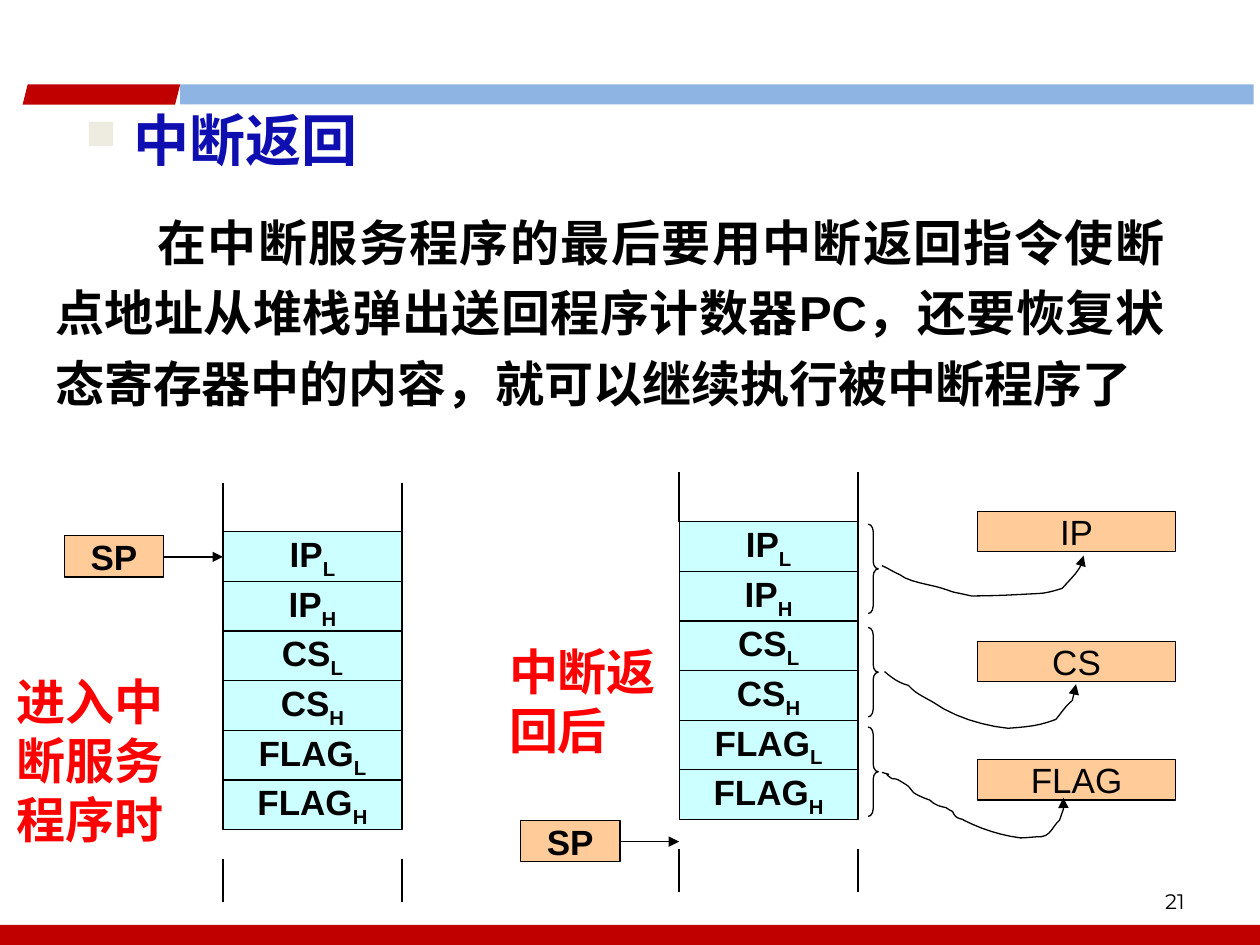
"""Build the slide on returning from an interrupt, with the stack before and after."""
from lxml import etree
from pptx import Presentation
from pptx.dml.color import RGBColor
from pptx.enum.shapes import MSO_CONNECTOR, MSO_SHAPE
from pptx.enum.text import MSO_ANCHOR, PP_ALIGN
from pptx.oxml.ns import qn
from pptx.util import Inches, Pt

RECT = MSO_SHAPE.RECTANGLE
SLANT = MSO_SHAPE.PARALLELOGRAM
BRACE = MSO_SHAPE.RIGHT_BRACE
LINE = MSO_CONNECTOR.STRAIGHT
TOP, MIDDLE = MSO_ANCHOR.TOP, MSO_ANCHOR.MIDDLE
LEFT, RIGHT = PP_ALIGN.LEFT, PP_ALIGN.RIGHT
CENTER, JUSTIFY = PP_ALIGN.CENTER, PP_ALIGN.JUSTIFY

BLACK, RED, BLUE, SKY = "000000", "C00000", "0F0FB1", "8EB4E3"
AQUA, PEACH, BRIGHT, PALE = "CCFFFF", "FFCC99", "FF0000", "EEECE1"
ROWS = [(name, sub) for name in ("IP", "CS", "FLAG") for sub in "LH"]
STEP = 1.97 / 5

TITLE = "中断返回"
BODY = ("在中断服务程序的最后要用中断返回指令使断点地址从堆栈弹出送回程序计数器PC，"
        "还要恢复状态寄存器中的内容，就可以继续执行被中断程序了")

CURVES = [
    [(7, 4.49), (7.05, 4.51), (7.09, 4.54), (7.14, 4.56), (7.21, 4.62),
     (7.39, 4.64), (7.48, 4.67), (7.51, 4.68), (7.54, 4.69), (7.57, 4.7),
     (7.62, 4.71), (7.71, 4.73), (7.71, 4.73), (7.89, 4.73), (8.07, 4.72),
     (8.25, 4.71), (8.31, 4.71), (8.43, 4.67), (8.43, 4.67), (8.49, 4.6),
     (8.6, 4.51), (8.6, 4.41)],
    [(7.02, 5.33), (7.08, 5.38), (7.13, 5.42), (7.21, 5.44), (7.26, 5.5),
     (7.33, 5.53), (7.4, 5.57), (7.57, 5.69), (7.8, 5.76), (8, 5.78),
     (8.15, 5.77), (8.25, 5.76), (8.38, 5.71), (8.43, 5.65), (8.45, 5.61),
     (8.51, 5.56), (8.52, 5.51), (8.54, 5.47), (8.54, 5.43)],
    [(7, 6.13), (7.13, 6.17), (6.97, 6.11), (7.08, 6.18), (7.09, 6.18),
     (7.11, 6.18), (7.13, 6.19), (7.23, 6.25), (7.2, 6.23), (7.25, 6.29),
     (7.29, 6.32), (7.38, 6.35), (7.38, 6.35), (7.42, 6.39), (7.46, 6.4),
     (7.51, 6.41), (7.52, 6.42), (7.54, 6.43), (7.56, 6.44), (7.57, 6.46),
     (7.58, 6.48), (7.6, 6.49), (7.62, 6.5), (7.64, 6.5), (7.65, 6.51),
     (7.79, 6.58), (7.94, 6.63), (8.1, 6.65), (8.15, 6.65), (8.21, 6.64),
     (8.27, 6.64), (8.34, 6.63), (8.36, 6.55), (8.41, 6.51), (8.45, 6.39),
     (8.44, 6.45), (8.44, 6.33)],
]


def tint(code):
    return RGBColor.from_string(code)


def trace(knots, count=6):
    """Sample a chain of cubic curves that share their end points."""
    out = [knots[0]]
    for k in range(0, len(knots) - 1, 3):
        a, b, c, d = knots[k:k + 4]
        for n in range(1, count + 1):
            t = n / count
            u = 1 - t
            out.append(tuple(u**3 * p + 3 * u * u * t * q + 3 * u * t * t * r + t**3 * s
                             for p, q, r, s in zip(a, b, c, d)))
    return [(Inches(x), Inches(y)) for x, y in out]


class Board:
    def __init__(self, slide, font="Arial"):
        self.slide, self.font = slide, font

    def ink(self, line, arrow=False):
        line.color.rgb = tint(BLACK)
        line.width = Pt(0.75)
        if arrow:
            etree.SubElement(line._get_or_add_ln(), qn("a:tailEnd"), type="triangle")

    def label(self, shape, text, size, color=BLACK, bold=True, align=LEFT,
              anchor=TOP, pad=(0, 0), wrap=True, sub="", font=None):
        frame = shape.text_frame
        frame.word_wrap, frame.vertical_anchor = wrap, anchor
        frame.margin_left = frame.margin_right = Inches(pad[0])
        frame.margin_top = frame.margin_bottom = Inches(pad[1])
        frame.text = text
        para = frame.paragraphs[0]
        para.alignment = align
        if sub:
            para.add_run().text = sub
        for run in para.runs:
            run.font.name, run.font.size = font or self.font, Pt(size)
            run.font.bold, run.font.color.rgb = bold, tint(color)
        if sub:
            para.runs[-1].font._element.set("baseline", "-25000")
        return para

    def shape(self, kind, x, y, w, h, fill=None, edge=True):
        item = self.slide.shapes.add_shape(kind, Inches(x), Inches(y), Inches(w), Inches(h))
        item.shadow.inherit = False
        if fill:
            item.fill.solid()
            item.fill.fore_color.rgb = tint(fill)
        else:
            item.fill.background()
        if edge:
            self.ink(item.line)
        else:
            item.line.fill.background()
        return item

    def text(self, x, y, w, h, text, size, **style):
        box = self.slide.shapes.add_textbox(Inches(x), Inches(y), Inches(w), Inches(h))
        return self.label(box, text, size, **style)

    def line(self, x1, y1, x2, y2, arrow=False):
        item = self.slide.shapes.add_connector(
            LINE, Inches(x1), Inches(y1), Inches(x2), Inches(y2))
        self.ink(item.line, arrow)
        etree.SubElement(item._element.spPr, qn("a:effectLst"))

    def curve(self, knots):
        first, *rest = trace(knots)
        pen = self.slide.shapes.build_freeform(*first)
        pen.add_line_segments(rest, close=False)
        item = pen.convert_to_shape()
        item.shadow.inherit = False
        item.fill.background()
        self.ink(item.line, arrow=True)

    def stack(self, x, y):
        for i, (name, sub) in enumerate(ROWS):
            cell = self.shape(RECT, x, y + i * STEP, 1.42, STEP, AQUA)
            self.label(cell, name, 20, align=CENTER, anchor=MIDDLE, wrap=False, sub=sub)
        for side, drop in ((x, 0), (x + 1.42, 0.08)):
            self.line(side, y - 0.39, side, y + drop)
            self.line(side, y + 2.6, side, y + 2.94)

    def mark(self, x, y):
        box = self.shape(RECT, x - 1.26, y, 0.79, 0.33, PEACH)
        self.label(box, "SP", 20, align=CENTER)
        self.line(x - 0.47, y + 0.17, x, y + 0.17, arrow=True)

    def bullet(self, para):
        props = para._p.get_or_add_pPr()
        props.set("marL", str(Inches(0.38)))
        props.set("indent", str(-Inches(0.38)))
        color = etree.SubElement(props, qn("a:buClr"))
        etree.SubElement(color, qn("a:srgbClr"), val=PALE)
        etree.SubElement(props, qn("a:buSzPct"), val="75000")
        etree.SubElement(props, qn("a:buChar"), char="■")


def main():
    deck = Presentation()
    deck.slide_width, deck.slide_height = Inches(10), Inches(7.5)
    board = Board(deck.slides.add_slide(deck.slide_layouts[6]))

    board.shape(RECT, 0, 7.34, 10, 0.16, RED, edge=False)
    board.shape(SLANT, 0.18, 0.67, 1.25, 0.16, RED, edge=False)
    board.shape(RECT, 1.43, 0.67, 8.52, 0.16, SKY, edge=False)

    board.bullet(board.text(0.58, 0.79, 9, 0.75, TITLE, 32, color=BLUE, pad=(0.1, 0.05)))
    body = board.text(0.34, 1.26, 9, 2.34, BODY, 28, align=JUSTIFY,
                      anchor=MIDDLE, pad=(0.1, 0.05))
    body.line_spacing = 1.2
    body._p.get_or_add_pPr().set("indent", str(Inches(0.81)))

    board.stack(1.77, 4.22)
    board.mark(1.77, 4.25)
    board.stack(5.39, 4.14)
    board.mark(5.39, 6.51)

    regs = zip(("IP", "CS", "FLAG"), (4.06, 5.09, 6.03), (4.16, 4.98, 5.77), CURVES)
    for name, y, top, knots in regs:
        box = board.shape(RECT, 7.76, y, 1.57, 0.32, PEACH)
        board.label(box, name, 20, bold=False, align=CENTER, anchor=MIDDLE, wrap=False)
        board.shape(BRACE, 6.89, top, 0.08, 0.71).adjustments[0] = 0.75
        board.curve(knots)

    board.text(0.13, 5.33, 1.53, 1.4, "进入中断服务程序时", 28, color=BRIGHT)
    board.text(4.04, 5.09, 1.25, 0.93, "中断返回后", 28, color=BRIGHT)
    board.text(7.17, 6.95, 2.33, 0.4, "21", 12, bold=False, align=RIGHT,
               anchor=MIDDLE, pad=(0.1, 0.05), font="Montserrat")
    deck.save("out.pptx")


if __name__ == "__main__":
    main()
